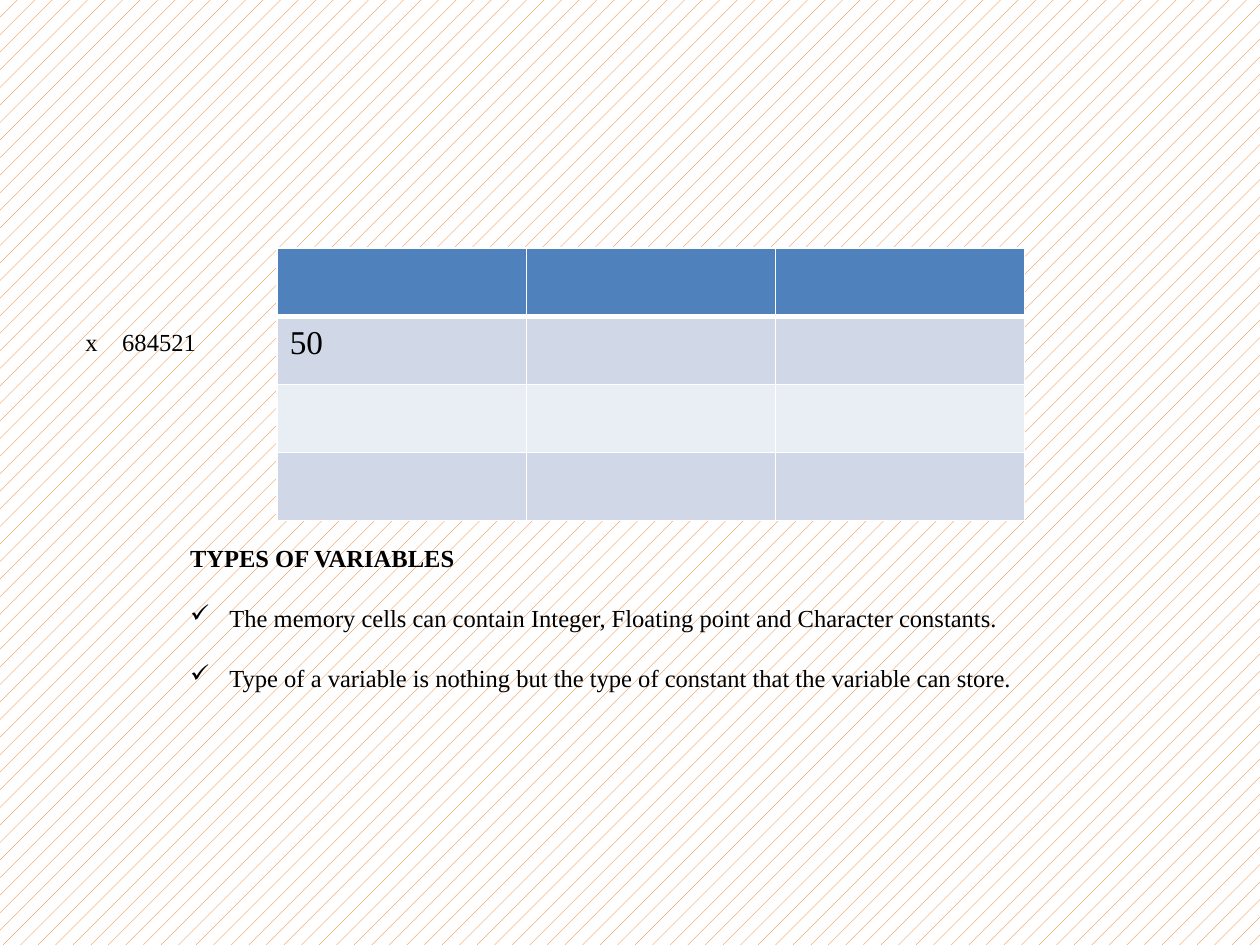
from dataclasses import dataclass
from typing import Optional

from lxml.etree import SubElement
from pptx import Presentation
from pptx.dml.color import RGBColor as RGB
from pptx.enum.dml import MSO_PATTERN
from pptx.oxml.ns import qn
from pptx.util import Pt


@dataclass(frozen=True)
class Theme:
    font: str = "Times New Roman"
    body: float = 14
    cell: float = 19
    ink: RGB = RGB(0, 0, 0)
    white: RGB = RGB(255, 255, 255)
    hatch: RGB = RGB.from_string("E46C0A")
    header: RGB = RGB.from_string("4F81BD")
    bands: tuple = (RGB.from_string("D0D8E8"), RGB.from_string("E9EDF4"))


@dataclass(frozen=True)
class Box:
    left: float
    top: float
    width: float
    height: float

    def emu(self) -> tuple:
        return Pt(self.left), Pt(self.top), Pt(self.width), Pt(self.height)


@dataclass(frozen=True)
class Line:
    text: str
    bold: bool = False
    bullet: Optional[str] = None
    tab: Optional[float] = None


THEME = Theme()
TABLE = Box(158.4, 141.84, 427.2, 155.52)
ROWS, COLS = 4, 3
VALUES = {(1, 0): "50"}
ADDRESS = Box(41.76, 183.6, 106.56, 24.48)
NOTES = Box(101.52, 306.72, 526.32, 123.84)
INDENT = 22.5
GAP = 17.5
NOTE_LINES = [
    Line("TYPES OF VARIABLES", bold=True),
    Line("The memory cells can contain Integer, Floating point and Character constants.", bullet="✓"),
    Line("Type of a variable is nothing but the type of constant that the variable can store.", bullet="✓"),
]


def style(p, size: float, bold: bool = False) -> None:
    for r in p.runs:
        r.font.name = THEME.font
        r.font.size = Pt(size)
        r.font.bold = bold
        r.font.color.rgb = THEME.ink


def add_text(s, box: Box, lines: list[Line]) -> None:
    tf = s.shapes.add_textbox(*box.emu()).text_frame
    tf.word_wrap = True
    for i, line in enumerate(lines):
        p = tf.paragraphs[0] if i == 0 else tf.add_paragraph()
        p.text = line.text
        if i:
            p.space_before = Pt(GAP)
        pPr = p._p.get_or_add_pPr()
        if line.bullet:
            pPr.set("marL", str(Pt(INDENT)))
            pPr.set("indent", str(-Pt(INDENT)))
            SubElement(pPr, qn("a:buChar"), char=line.bullet)
        if line.tab:
            tabs = SubElement(pPr, qn("a:tabLst"))
            SubElement(tabs, qn("a:tab"), pos=str(Pt(line.tab)), algn="l")
        style(p, THEME.body, line.bold)


def add_border(cell, side: str, width: float) -> None:
    ln = SubElement(cell._tc.get_or_add_tcPr(), qn(f"a:ln{side}"), w=str(Pt(width)))
    fill = SubElement(ln, qn("a:solidFill"))
    SubElement(fill, qn("a:srgbClr"), val=str(THEME.white))


def add_grid(s) -> None:
    table = s.shapes.add_table(ROWS, COLS, *TABLE.emu()).table
    for col in table.columns:
        col.width = Pt(TABLE.width / COLS)
    for i, row in enumerate(table.rows):
        row.height = Pt(TABLE.height / ROWS)
        for j, cell in enumerate(row.cells):
            for side in "LRTB":
                add_border(cell, side, 3 if i == 0 and side == "B" else 1)
            cell.fill.solid()
            cell.fill.fore_color.rgb = THEME.bands[(i - 1) % 2] if i else THEME.header
            cell.margin_left = cell.margin_right = Pt(7.2)
            cell.margin_top = cell.margin_bottom = Pt(5)
            if (i, j) in VALUES:
                cell.text_frame.text = VALUES[i, j]
                style(cell.text_frame.paragraphs[0], THEME.cell)


def main() -> None:
    prs = Presentation()
    prs.slide_width, prs.slide_height = Pt(720), Pt(540)
    s = prs.slides.add_slide(prs.slide_layouts[6])
    fill = s.background.fill
    fill.patterned()
    fill.pattern = MSO_PATTERN.PERCENT_5
    fill.fore_color.rgb = THEME.hatch
    fill.back_color.rgb = THEME.white
    add_grid(s)
    add_text(s, ADDRESS, [Line("x\t684521", tab=21)])
    add_text(s, NOTES, NOTE_LINES)
    prs.save("out.pptx")


if __name__ == "__main__":
    main()
